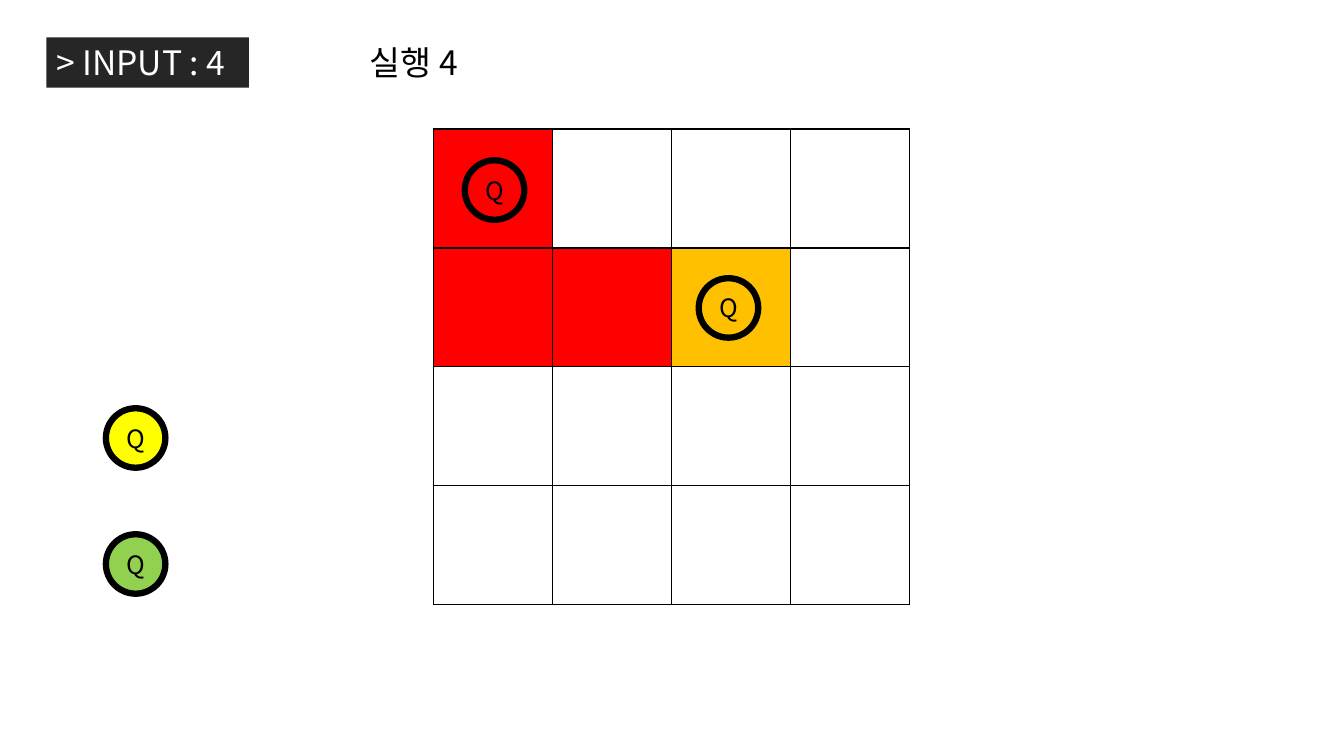
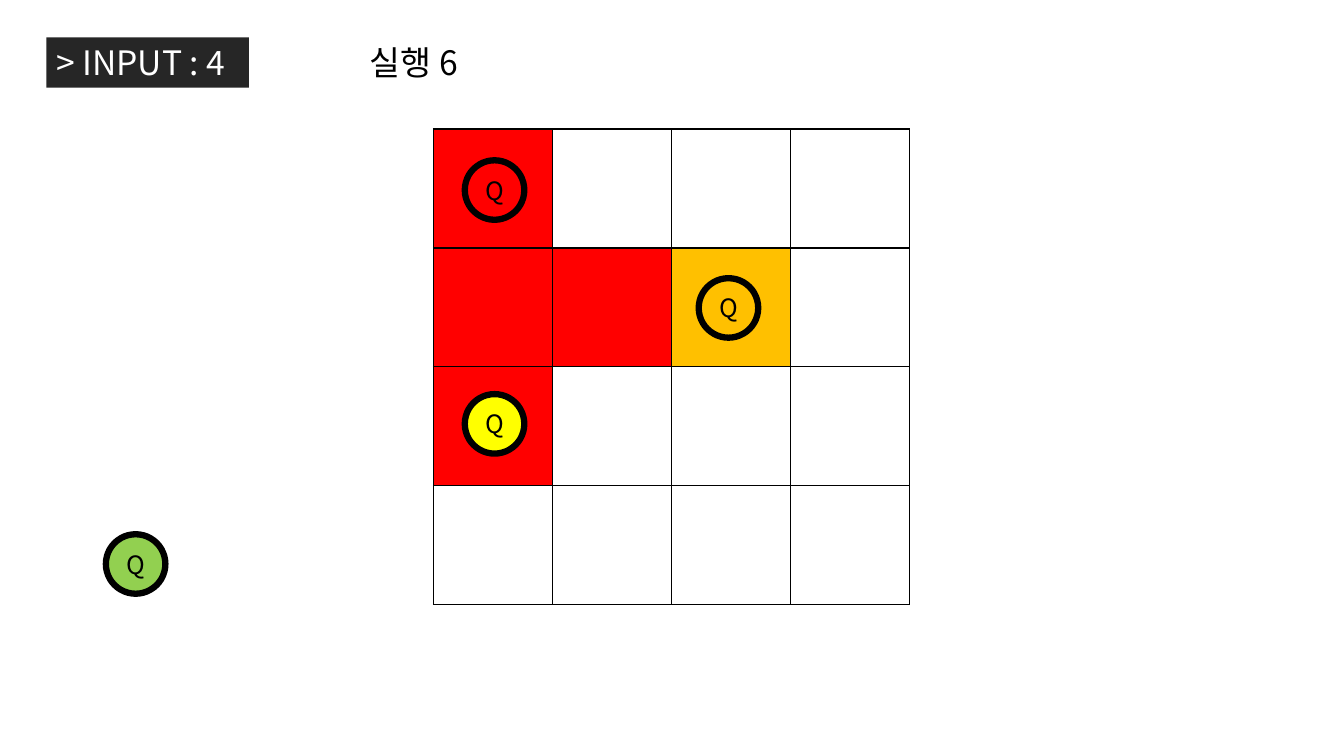
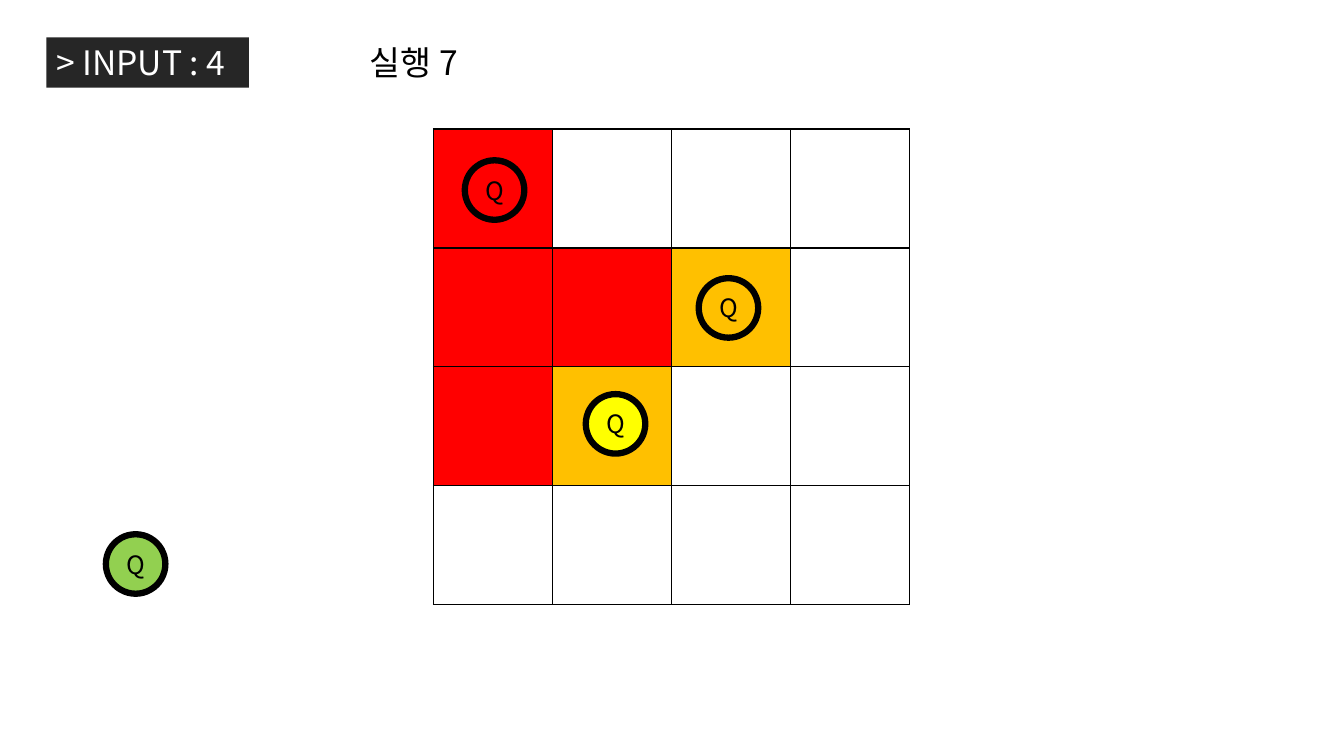
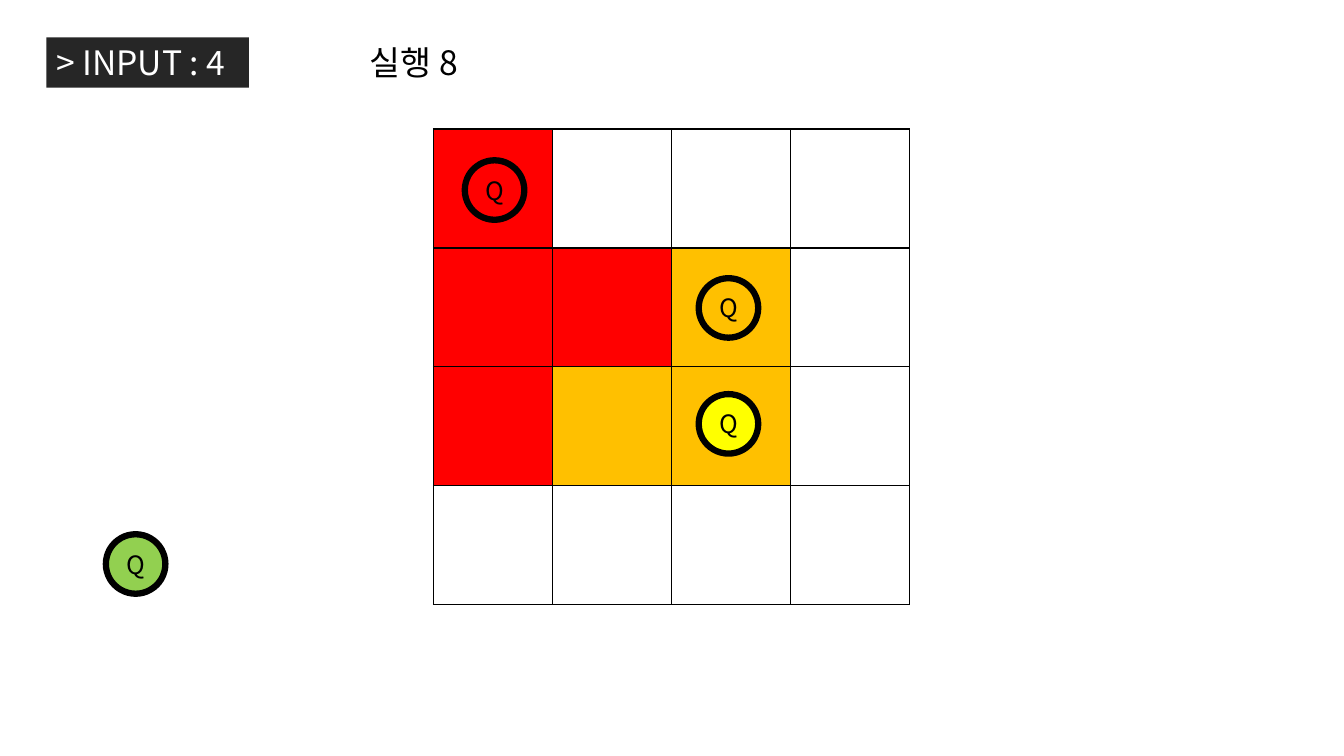
from pptx import Presentation
from pptx.dml.color import RGBColor
from pptx.enum.shapes import MSO_SHAPE as Shape
from pptx.enum.text import MSO_ANCHOR as Anchor, PP_ALIGN as Align
from pptx.oxml.ns import qn
from pptx.util import Inches, Pt
from lxml.etree import SubElement

FONT = "Noto Sans CJK KR"
BLACK = RGBColor(0x00, 0x00, 0x00)
WHITE = RGBColor(0xFF, 0xFF, 0xFF)
DARK = RGBColor(0x26, 0x26, 0x26)
RED = RGBColor(0xFF, 0x00, 0x00)
ORANGE = RGBColor(0xFF, 0xC0, 0x00)
YELLOW = RGBColor(0xFF, 0xFF, 0x00)
GREEN = RGBColor(0x92, 0xD0, 0x50)

BOARD_SIZE = 4
CELL = Inches(1.18)
QUEEN_SIZE = Inches(0.59)
QUEEN_LEFTS = (4.61, 5.81, 6.93)
QUEEN_TOPS = (1.59, 2.76, 3.91)
WAITING_LEFT = 1.05

# Board cells are keyed by (row, column).
FIRST_TRIES = {(0, 0): RED, (1, 0): RED, (1, 1): RED, (1, 2): ORANGE}
THIRD_ROW_TRIES = {(2, 0): RED, (2, 1): ORANGE, (2, 2): ORANGE}

# Step number and the column tried for the yellow queen, None while it waits.
STEPS = ((4, None), (6, 0), (7, 1), (8, 2))


class BoardDeck:
    """Builds the board slides in one shared style."""

    def __init__(self):
        """Start an empty widescreen deck."""
        self.deck = Presentation()
        self.deck.slide_width = Inches(13.33)
        self.deck.slide_height = Inches(7.5)
        self.page = None

    def new_page(self):
        """Add a blank slide and make it current."""
        self.page = self.deck.slides.add_slide(self.deck.slide_layouts[6])

    def set_text(self, box, text, size=24, color=BLACK, align=Align.LEFT, side=0.1):
        """Put one vertically centred line of text into a box."""
        frame = box.text_frame
        frame.word_wrap = True
        frame.vertical_anchor = Anchor.MIDDLE
        frame.margin_top = frame.margin_bottom = 0
        frame.margin_left = frame.margin_right = Inches(side)
        para = frame.paragraphs[0]
        para.alignment = align
        span = para.add_run()
        span.text = text
        span.font.name = FONT
        span.font.size = Pt(size)
        span.font.color.rgb = color
        SubElement(span.font._element, qn("a:ea"), typeface=FONT)

    def shape(self, kind, left, top, width, height, fill):
        """Add a flat filled shape without an outline."""
        box = self.page.shapes.add_shape(kind, left, top, width, height)
        box.shadow.inherit = False
        box.fill.solid()
        box.fill.fore_color.rgb = fill
        box.line.fill.background()
        return box

    def header(self, step):
        """Add the input band and the step title."""
        band = self.shape(Shape.RECTANGLE, Inches(0.46), Inches(0.37),
                          Inches(2.01), Inches(0.5), DARK)
        self.set_text(band, "> INPUT : 4", color=WHITE)
        title = self.page.shapes.add_textbox(Inches(3.57), Inches(0.37),
                                             Inches(6.11), Inches(0.5))
        self.set_text(title, f"실행 {step}")

    def border(self, cell):
        """Draw a thin black line on each side of a table cell."""
        props = cell._tc.get_or_add_tcPr()
        for side in ("lnL", "lnR", "lnT", "lnB"):
            line = SubElement(props, qn(f"a:{side}"), w=str(Pt(1)))
            solid = SubElement(line, qn("a:solidFill"))
            SubElement(solid, qn("a:srgbClr"), val=str(BLACK))

    def board(self, tries):
        """Add the board with the tried cells coloured."""
        table = self.page.shapes.add_table(
            BOARD_SIZE, BOARD_SIZE, Inches(4.3), Inches(1.28),
            CELL * BOARD_SIZE, CELL * BOARD_SIZE).table
        table.first_row = table.horz_banding = False
        for index in range(BOARD_SIZE):
            table.columns[index].width = table.rows[index].height = CELL
        for row in range(BOARD_SIZE):
            for column in range(BOARD_SIZE):
                cell = table.cell(row, column)
                self.border(cell)
                if (row, column) in tries:
                    cell.fill.solid()
                    cell.fill.fore_color.rgb = tries[row, column]
                else:
                    cell.fill.background()

    def queen(self, left, top, fill):
        """Add a round queen piece at a place given in inches."""
        piece = self.shape(Shape.OVAL, Inches(left), Inches(top),
                           QUEEN_SIZE, QUEEN_SIZE, fill)
        piece.line.color.rgb = BLACK
        piece.line.width = Pt(4.5)
        self.set_text(piece, "Q", size=18, align=Align.CENTER, side=0)

    def placed_queen(self, row, column, fill):
        """Add a queen on a board cell."""
        self.queen(QUEEN_LEFTS[column], QUEEN_TOPS[row], fill)

    def step_page(self, step, column):
        """Build the slide of one search step."""
        tries = dict(FIRST_TRIES)
        if column is not None:
            tries.update({spot: color for spot, color in THIRD_ROW_TRIES.items()
                          if spot[1] <= column})
        self.new_page()
        self.board(tries)
        self.header(step)
        self.placed_queen(0, 0, RED)
        self.placed_queen(1, 2, ORANGE)
        if column is None:
            self.queen(WAITING_LEFT, 4.05, YELLOW)
        else:
            self.placed_queen(2, column, YELLOW)
        self.queen(WAITING_LEFT, 5.3, GREEN)


board_deck = BoardDeck()
for step, column in STEPS:
    board_deck.step_page(step, column)
board_deck.deck.save("out.pptx")
